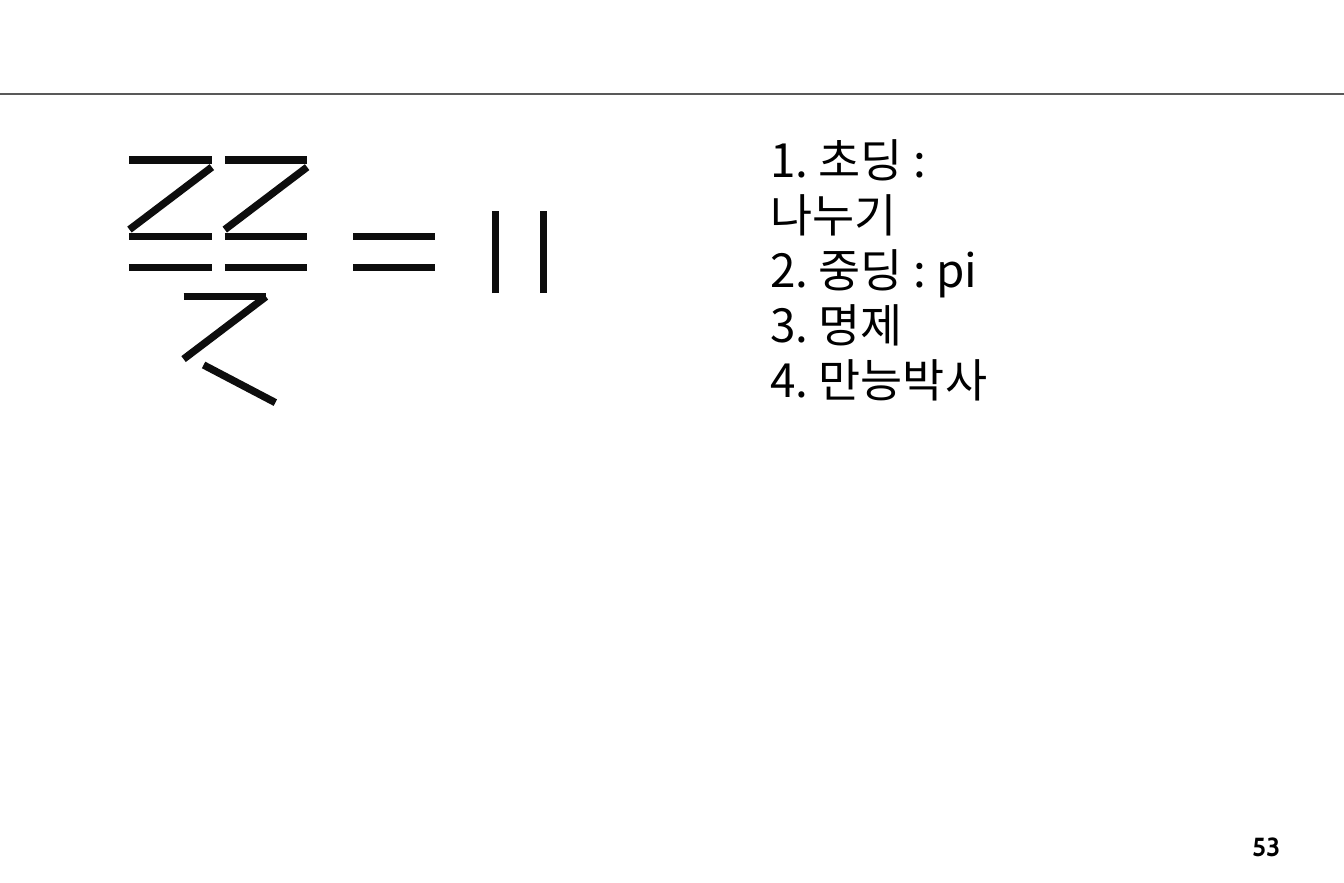
"""Build a matchstick puzzle slide with a list of four hints."""
from lxml import etree
from pptx import Presentation, util as u
from pptx.dml.color import RGBColor
from pptx.enum import shapes, text
from pptx.oxml.ns import qn

INK = {"rule": "595959", "stick": "0D0D0D", "text": "000000"}


def write(words, left, top, width, height, font, size, bold=False,
          align=text.PP_ALIGN.LEFT, pitch=None):
    box = page.shapes.add_textbox(*map(u.Inches, (left, top, width, height)))
    frame = box.text_frame
    frame.word_wrap = True
    frame.text = words
    for para in frame.paragraphs:
        para.alignment = align
        if pitch:
            para.line_spacing = u.Pt(pitch)
        for run in para.runs:
            run.font.name = font
            run.font.size = u.Pt(size)
            run.font.bold = bold
            run.font.color.rgb = RGBColor.from_string(INK["text"])
            east = etree.SubElement(run.font._element, qn("a:ea"))
            east.set("typeface", font)


def draw(x1, y1, x2, y2, ink="stick", weight=4.5):
    line = page.shapes.add_connector(
        shapes.MSO_CONNECTOR.STRAIGHT, *map(u.Inches, (x1, y1, x2, y2)))
    line.line.color.rgb = RGBColor.from_string(INK[ink])
    line.line.width = u.Pt(weight)
    etree.SubElement(line._element.spPr, qn("a:effectLst"))


deck = Presentation()
deck.slide_width, deck.slide_height = u.Inches(11.42), u.Inches(7.5)
page = deck.slides.add_slide(deck.slide_layouts[6])

write("53", 10.26, 7, 1, 0.24, "Cabin", 16, bold=True,
      align=text.PP_ALIGN.CENTER)
draw(0, 0.8, 11.42, 0.8, "rule", 1.5)

stick = 0.7
for left in (1.1, 1.91):
    for y in (1.36, 2.01, 2.27):
        draw(left, y, left + stick, y)
    draw(left, 1.95, left + stick, 1.42)

draw(1.56, 2.52, 1.56 + stick, 2.52)
draw(1.56, 3.05, 1.56 + stick, 2.52)
draw(1.73, 3.1, 2.34, 3.42)

for y in (2.01, 2.27):
    draw(3, y, 3 + stick, y)
for x in (4.21, 4.62):
    draw(x, 1.79 + stick, x, 1.79)

hints = ["1. 초딩 :\v나누기", "2. 중딩 : pi", "3. 명제", "4. 만능박사"]
write("\n".join(hints), 6.45, 1.07, 2.97, 1.99, "Noto Sans CJK KR", 28,
      pitch=33.6)

deck.save("out.pptx")
